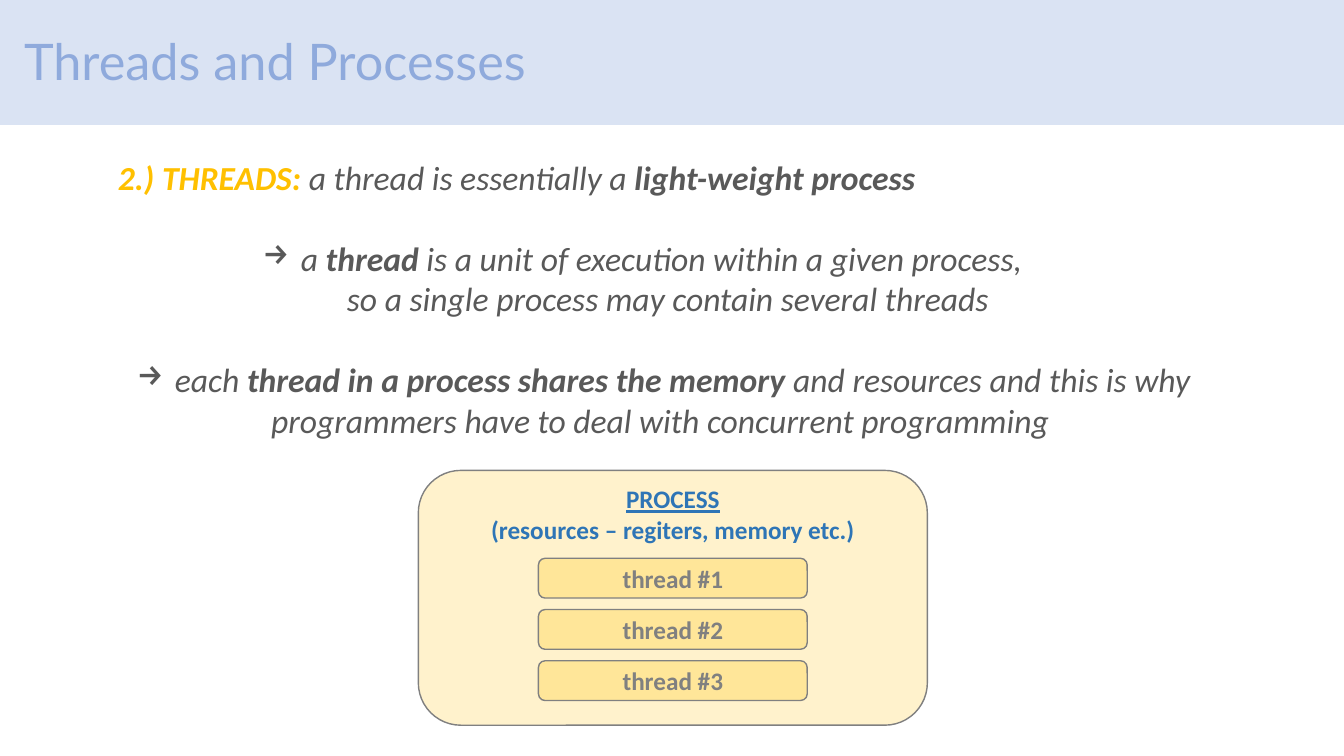
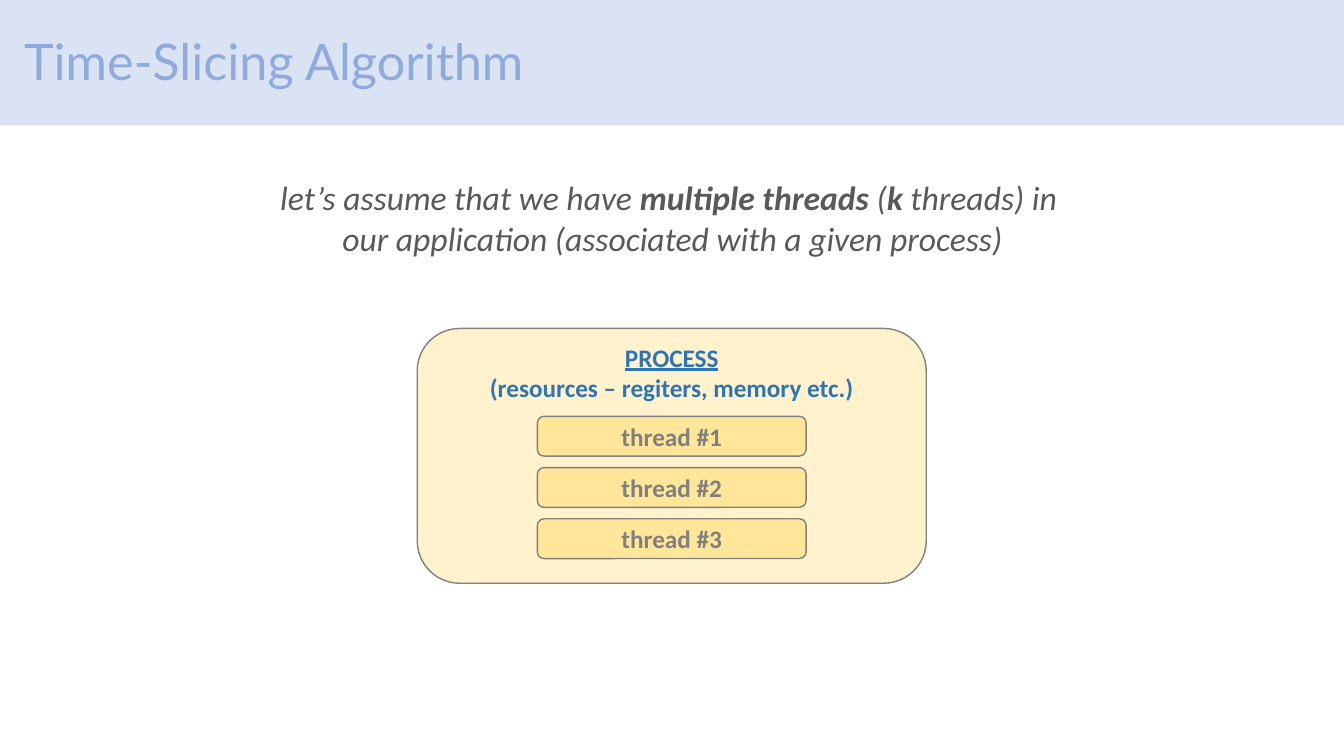
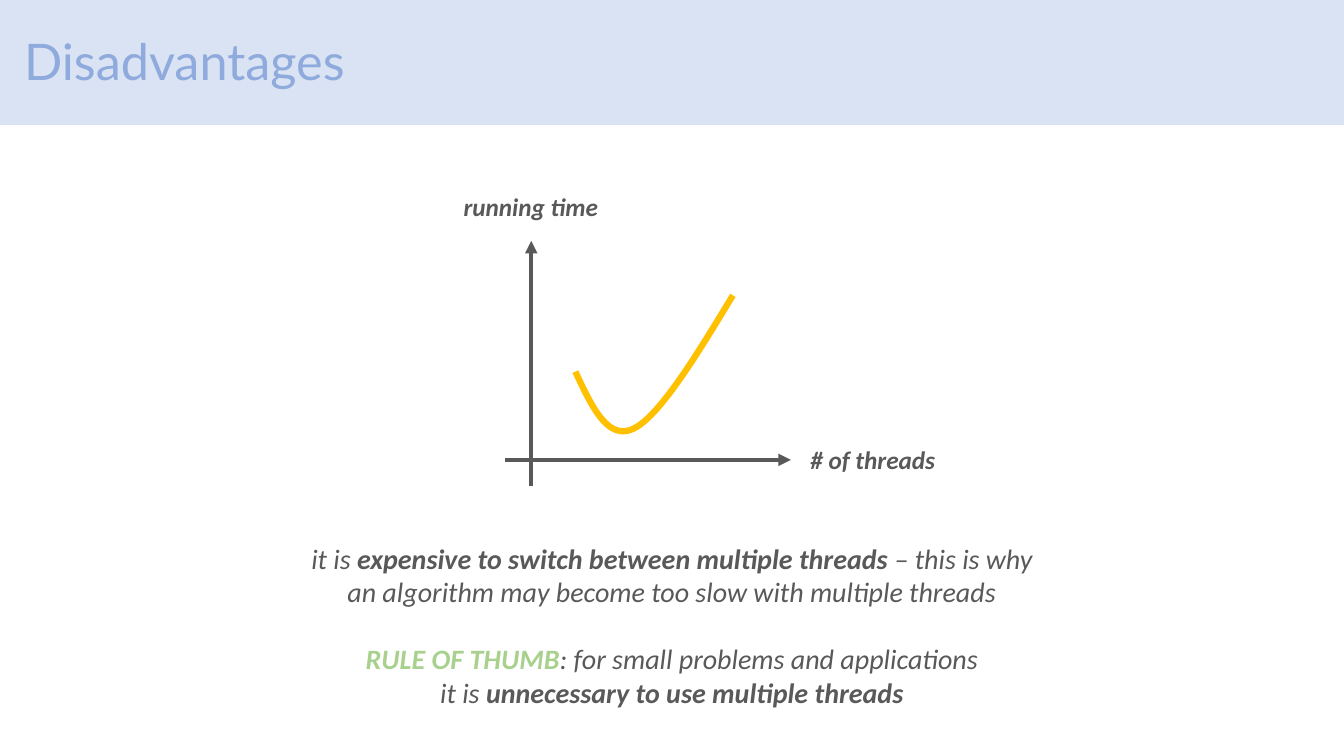
import dataclasses
import typing

import lxml.etree
import pptx
import pptx.dml.color
import pptx.enum.shapes
import pptx.enum.text
import pptx.oxml.ns
import pptx.util

Pt = pptx.util.Pt
RGBColor = pptx.dml.color.RGBColor
Align = pptx.enum.text.PP_ALIGN
Anchor = pptx.enum.text.MSO_ANCHOR
Preset = pptx.enum.shapes.MSO_SHAPE
qn = pptx.oxml.ns.qn

WHITE = RGBColor(0xFF, 0xFF, 0xFF)
BAND_BLUE = RGBColor(0xDA, 0xE3, 0xF3)
TITLE_BLUE = RGBColor(0x8F, 0xAA, 0xDC)
LABEL_BLUE = RGBColor(0x2E, 0x75, 0xB6)
DARK_GRAY = RGBColor(0x59, 0x59, 0x59)
GRAY = RGBColor(0x80, 0x80, 0x80)
AMBER = RGBColor(0xFF, 0xC0, 0x00)
PALE_YELLOW = RGBColor(0xFF, 0xF2, 0xCC)
YELLOW = RGBColor(0xFF, 0xE6, 0x99)
GREEN = RGBColor(0xA9, 0xD1, 0x8E)

TITLE_FONT = "Lato"
BODY_FONT = "Calibri"
HANGING = 27


@dataclasses.dataclass
class Line:
    text: str
    space_before: float = 0
    margin: float = 0
    arrow: bool = False
    highlight: typing.Optional[RGBColor] = None


def style_font(font, size, color, name=BODY_FONT, **flags):
    font.name = name
    font.size = Pt(size)
    font.color.rgb = color
    for flag, value in flags.items():
        setattr(font, flag, value)


def add_box(slide, preset, left, top, width, height, fill, line):
    shape = slide.shapes.add_shape(preset, Pt(left), Pt(top), Pt(width), Pt(height))
    shape.shadow.inherit = False
    shape.fill.solid()
    shape.fill.fore_color.rgb = fill
    shape.line.color.rgb = line
    shape.line.width = Pt(1)
    return shape


def indent(paragraph, margin, arrow):
    properties = paragraph._p.get_or_add_pPr()
    properties.set("marL", str(Pt(margin)))
    if arrow:
        properties.set("indent", str(-Pt(HANGING)))
        bullet = lxml.etree.SubElement(properties, qn("a:buChar"))
        bullet.set("char", "→")


def add_text(slide, left, top, width, height, lines, size,
             color=DARK_GRAY, align=Align.CENTER, **flags):
    box = slide.shapes.add_textbox(Pt(left), Pt(top), Pt(width), Pt(height))
    frame = box.text_frame
    frame.word_wrap = True
    for index, line in enumerate(lines):
        paragraph = frame.paragraphs[0] if index == 0 else frame.add_paragraph()
        if line.margin:
            indent(paragraph, line.margin, line.arrow)
        paragraph.alignment = align
        if line.space_before:
            paragraph.space_before = Pt(line.space_before)
        style_font(paragraph.font, size, color, **flags)
        for position, part in enumerate(line.text.split("**")):
            if not part:
                continue
            run = paragraph.add_run()
            run.text = part
            if position % 2:
                run.font.bold = True
            if position == 1 and line.highlight:
                run.font.color.rgb = line.highlight
    return frame


def add_titled_slide(presentation, title):
    slide = presentation.slides.add_slide(presentation.slide_layouts[5])
    band = add_box(slide, Preset.RECTANGLE, -10, -3, 977, 93, BAND_BLUE, WHITE)
    slide.shapes._spTree.insert(2, band._element)
    placeholder = slide.shapes.title
    placeholder.left, placeholder.top = Pt(10), Pt(-6.5)
    placeholder.width, placeholder.height = Pt(828), Pt(104.5)
    frame = placeholder.text_frame
    frame.text = title
    frame.auto_size = pptx.enum.text.MSO_AUTO_SIZE.NONE
    frame.vertical_anchor = Anchor.MIDDLE
    paragraph = frame.paragraphs[0]
    paragraph.alignment = Align.LEFT
    paragraph.line_spacing = 0.9
    style_font(paragraph.font, 36, TITLE_BLUE, TITLE_FONT)
    return slide


def add_process(slide, left, top):
    width, thread_width = 363.6, 192
    add_box(slide, Preset.ROUNDED_RECTANGLE, left, top, width, 182, PALE_YELLOW, GRAY)
    caption = [Line("PROCESS"), Line("(resources – regiters, memory etc.)")]
    frame = add_text(slide, left, top + 6, width, 51, caption, 18, LABEL_BLUE, bold=True)
    frame.paragraphs[0].font.underline = True
    for index in range(3):
        thread = add_box(slide, Preset.ROUNDED_RECTANGLE,
                         left + (width - thread_width) / 2, top + 62.8 + 36.6 * index,
                         thread_width, 28.4, YELLOW, GRAY)
        frame = thread.text_frame
        frame.text = f"thread #{index + 1}"
        frame.vertical_anchor = Anchor.MIDDLE
        paragraph = frame.paragraphs[0]
        paragraph.alignment = Align.CENTER
        style_font(paragraph.font, 18, GRAY, bold=True)


def add_axis(slide, start, end):
    axis = slide.shapes.add_connector(
        pptx.enum.shapes.MSO_CONNECTOR.STRAIGHT, *map(Pt, start + end))
    axis.line.color.rgb = DARK_GRAY
    axis.line.width = Pt(3)
    arrowhead = lxml.etree.SubElement(axis.line._get_or_add_ln(), qn("a:tailEnd"))
    arrowhead.set("type", "triangle")
    lxml.etree.SubElement(axis._element.spPr, qn("a:effectLst"))


def bezier_point(controls, t):
    weights = ((1 - t) ** 3, 3 * t * (1 - t) ** 2, 3 * t ** 2 * (1 - t), t ** 3)
    return tuple(Pt(sum(weight * value for weight, value in zip(weights, values)))
                 for values in zip(*controls))


def add_curve(slide, controls, steps=24):
    points = [bezier_point(controls[first:first + 4], step / steps)
              for first in range(0, len(controls) - 1, 3)
              for step in range(1, steps + 1)]
    builder = slide.shapes.build_freeform(*map(Pt, controls[0]))
    builder.add_line_segments(points, close=False)
    curve = builder.convert_to_shape()
    curve.shadow.inherit = False
    curve.fill.background()
    curve.line.color.rgb = AMBER
    curve.line.width = Pt(4.5)


def build_threads(presentation):
    slide = add_titled_slide(presentation, "Threads and Processes")
    add_text(slide, -126, 108.7, 990, 269, [
        Line("**2.) THREADS: **a thread is essentially a **light-weight process**",
             highlight=AMBER),
        Line("a **thread** is a unit of execution within a given process,", 29, 207, True),
        Line("so a single process may contain several threads", margin=216),
        Line("each **thread in a process shares the memory **"
             "and resources and this is why", 29, 237, True),
        Line("programmers have to deal with concurrent programming", margin=205),
    ], 24, italic=True)
    add_process(slide, 298.8, 336)


def build_time_slicing(presentation):
    slide = add_titled_slide(presentation, "Time-Slicing Algorithm")
    add_text(slide, 190.8, 123, 579, 124, [
        Line("let’s assume that we have **multiple threads **(**k** threads) in "),
        Line("our application (associated with a given process)"),
    ], 24, italic=True)
    add_process(slide, 298, 234.6)


def build_disadvantages(presentation):
    slide = add_titled_slide(presentation, "Disadvantages")
    add_axis(slide, (379.5, 347), (379.5, 172))
    add_axis(slide, (361, 328.5), (565, 328.5))
    for text, left, top in (("# of threads", 571.7, 314), ("running time", 324, 133.3)):
        add_text(slide, left, top, 120, 29, [Line(text)], 18,
                 align=Align.LEFT, bold=True, italic=True)
    add_curve(slide, [(411, 265.5), (422.5, 290), (434, 315.5), (453, 306),
                      (471.5, 296.5), (497.5, 254), (523.5, 211)])
    add_text(slide, 213, 383, 534, 128, [
        Line("it is **expensive to switch between multiple threads **– this is why"),
        Line("an algorithm may become too slow with multiple threads"),
        Line("**RULE OF THUMB**: for small problems and applications", 24, highlight=GREEN),
        Line("it is **unnecessary to use multiple threads**"),
    ], 20, italic=True)


def main():
    presentation = pptx.Presentation()
    presentation.slide_width, presentation.slide_height = Pt(960), Pt(540)
    build_threads(presentation)
    build_time_slicing(presentation)
    build_disadvantages(presentation)
    presentation.save("out.pptx")


if __name__ == "__main__":
    main()
